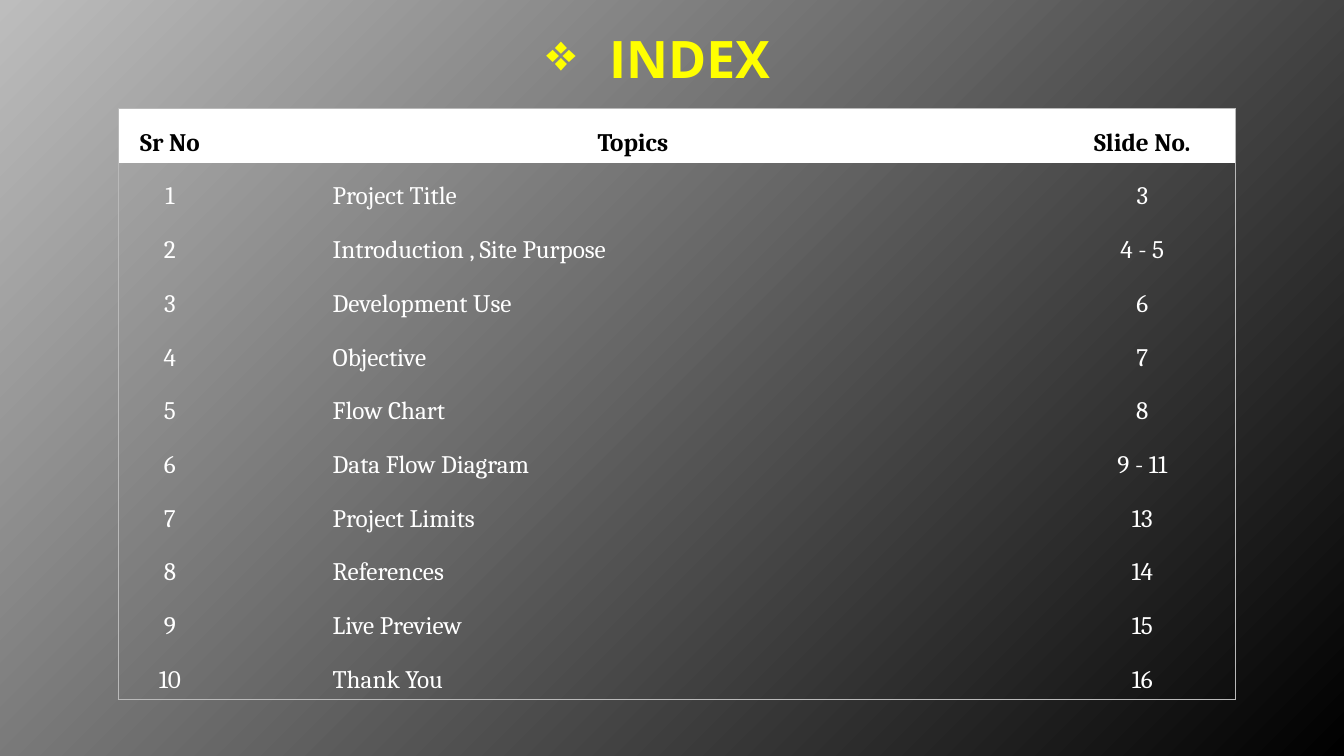
from dataclasses import dataclass

from lxml import etree
from pptx import Presentation
from pptx import util as u
from pptx.dml.color import RGBColor
from pptx.enum import text
from pptx.oxml import ns


@dataclass(frozen=True)
class Theme:
    """Colours, fonts and type sizes of the slide."""
    light: RGBColor = RGBColor(0xBD, 0xBD, 0xBD)
    dark: RGBColor = RGBColor(0, 0, 0)
    white: RGBColor = RGBColor(0xFF, 0xFF, 0xFF)
    accent: RGBColor = RGBColor(0xFF, 0xFF, 0)
    border: RGBColor = RGBColor(0xB9, 0xB9, 0xB9)
    title_font: str = "Open Sans"
    table_font: str = "Cambria"
    title_size: u.Pt = u.Pt(36.9)
    table_size: u.Pt = u.Pt(18)
    border_width: u.Pt = u.Pt(0.75)


THEME = Theme()
PLAIN_TABLE_STYLE = "{2D5ABB26-0587-4C30-8999-92F81FD0307C}"
HEADER = ("Sr No", "Topics ", "Slide No.")
TOPICS = (
    ("Project Title", "3"),
    ("Introduction , Site Purpose", "4 - 5"),
    ("Development Use", "6"),
    ("Objective", "7"),
    ("Flow Chart", "8"),
    ("Data Flow Diagram", "9 - 11"),
    ("Project Limits", "13"),
    ("References", "14"),
    ("Live Preview", "15"),
    ("Thank You", "16"),
)
COLUMN_WIDTHS = (1.03, 8.21, 1.84)
ROW_HEIGHT = 0.52


def add_node(parent, tag, **attributes):
    """Append a DrawingML element and return it."""
    node = etree.SubElement(parent, ns.qn(tag))
    for name, value in attributes.items():
        node.set(name, str(value))
    return node


def set_font(para, name, size, color, bold):
    """Set the font of a whole paragraph."""
    font = para.font
    font.name, font.size, font.bold = name, size, bold
    font.color.rgb = color


def paint_background(page):
    """Fill the page with a gradient spreading from its top left corner."""
    fill = page.background.fill
    fill.gradient()
    for stop, color in zip(fill.gradient_stops, (THEME.light, THEME.dark)):
        stop.color.rgb = color
    gradient = page.element.find(".//" + ns.qn("a:gradFill"))
    gradient.remove(gradient.find(ns.qn("a:lin")))
    circle = add_node(gradient, "a:path", path="circle")
    add_node(circle, "a:fillToRect", r=100000, b=100000)


def set_title(page, wording):
    """Place the bulleted title in its placeholder."""
    title = page.shapes.title
    title.left, title.top = u.Inches(1.17), u.Inches(0.19)
    title.width, title.height = u.Inches(11), u.Inches(0.77)
    frame = title.text_frame
    frame.auto_size = text.MSO_AUTO_SIZE.NONE
    frame.vertical_anchor = text.MSO_ANCHOR.MIDDLE
    frame.text = wording
    para = frame.paragraphs[0]
    para.alignment = text.PP_ALIGN.CENTER
    set_font(para, THEME.title_font, THEME.title_size, THEME.accent, True)
    properties = para._p.get_or_add_pPr()
    properties.set("marL", str(u.Inches(0.62)))
    properties.set("indent", str(-u.Inches(0.62)))
    bullet = etree.Element(ns.qn("a:buChar"), char="❖")
    properties.insert(0, bullet)


def add_border(cell, side):
    """Draw a thin line on one side of a cell."""
    line = add_node(cell._tc.get_or_add_tcPr(), "a:ln" + side, w=THEME.border_width)
    add_node(add_node(line, "a:solidFill"), "a:srgbClr", val=THEME.border)


def fill_cell(cell, wording, is_header, is_topic):
    """Write and format one cell."""
    cell.text = wording
    para = cell.text_frame.paragraphs[0]
    para.line_spacing = 1.5
    color = THEME.dark if is_header else THEME.white
    set_font(para, THEME.table_font, THEME.table_size, color, is_header)
    if is_topic and not is_header:
        para.level = 2
        properties = para._p.get_or_add_pPr()
        properties.set("marL", str(u.Inches(1)))
        properties.set("indent", "0")
    else:
        para.alignment = text.PP_ALIGN.CENTER
    if is_header:
        cell.fill.solid()
        cell.fill.fore_color.rgb = THEME.white
    else:
        cell.fill.background()


def add_index_table(page, rows):
    """Add the table of topics with a line around its outside."""
    last_row, last_column = len(rows) - 1, len(COLUMN_WIDTHS) - 1
    frame = page.shapes.add_table(
        len(rows), len(COLUMN_WIDTHS), u.Inches(1.17), u.Inches(1.08),
        u.Inches(sum(COLUMN_WIDTHS)), u.Inches(ROW_HEIGHT * len(rows)))
    table = frame.table
    table.horz_banding = False
    table._tbl.tblPr.find(ns.qn("a:tableStyleId")).text = PLAIN_TABLE_STYLE
    for column, width in zip(table.columns, COLUMN_WIDTHS):
        column.width = u.Inches(width)
    for r, row in enumerate(rows):
        for c, wording in enumerate(row):
            cell = table.cell(r, c)
            edges = {"L": c == 0, "R": c == last_column, "T": r == 0, "B": r == last_row}
            for side, is_outside in edges.items():
                if is_outside:
                    add_border(cell, side)
            fill_cell(cell, wording, r == 0, c == 1)


def main():
    """Build the index slide and save it."""
    deck = Presentation()
    deck.slide_width, deck.slide_height = u.Inches(13.33), u.Inches(7.5)
    page = deck.slides.add_slide(deck.slide_layouts.get_by_name("Title Only"))
    paint_background(page)
    set_title(page, "INDEX\t")
    numbered = [(str(n), *topic) for n, topic in enumerate(TOPICS, 1)]
    add_index_table(page, [HEADER, *numbered])
    deck.save("out.pptx")


if __name__ == "__main__":
    main()
